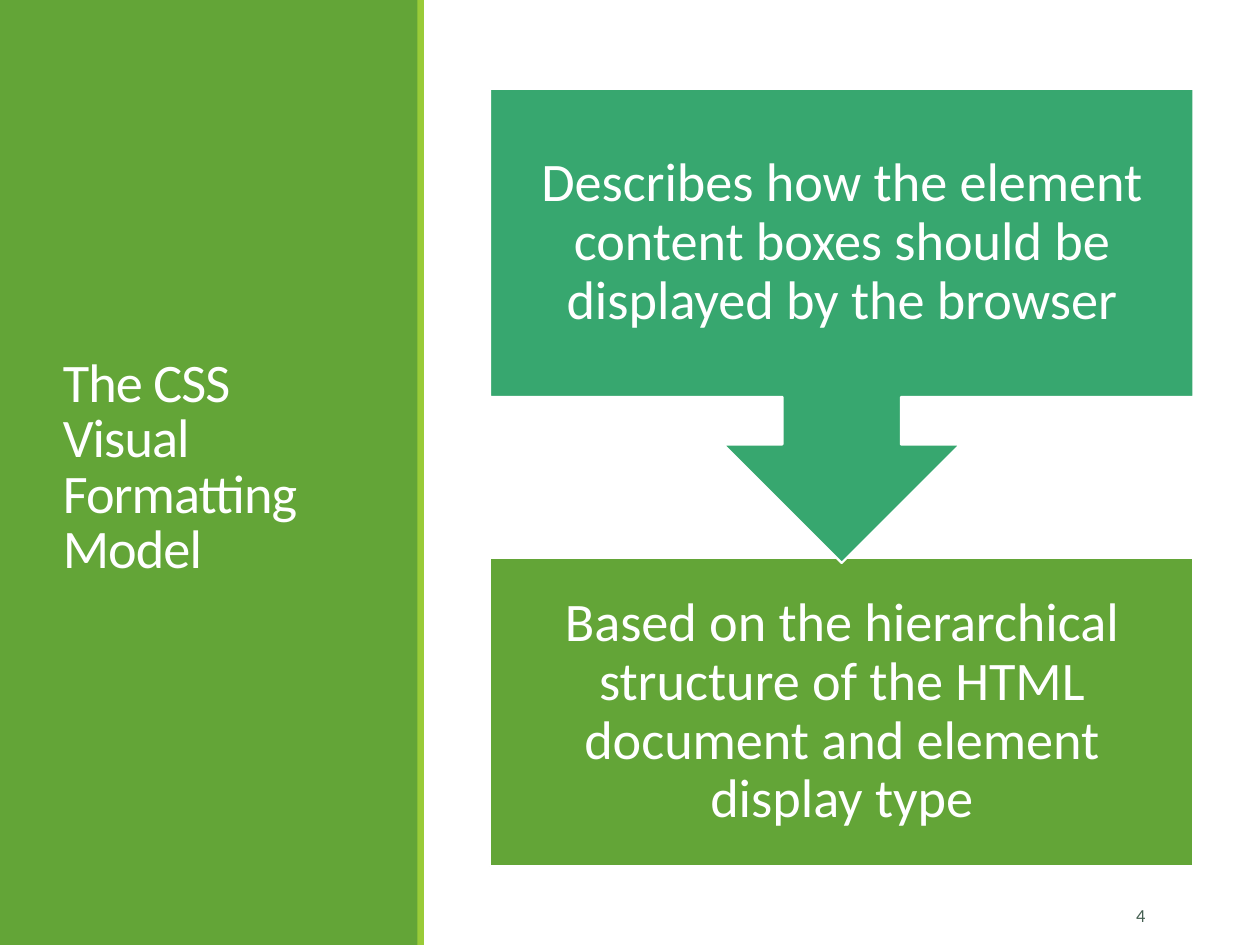
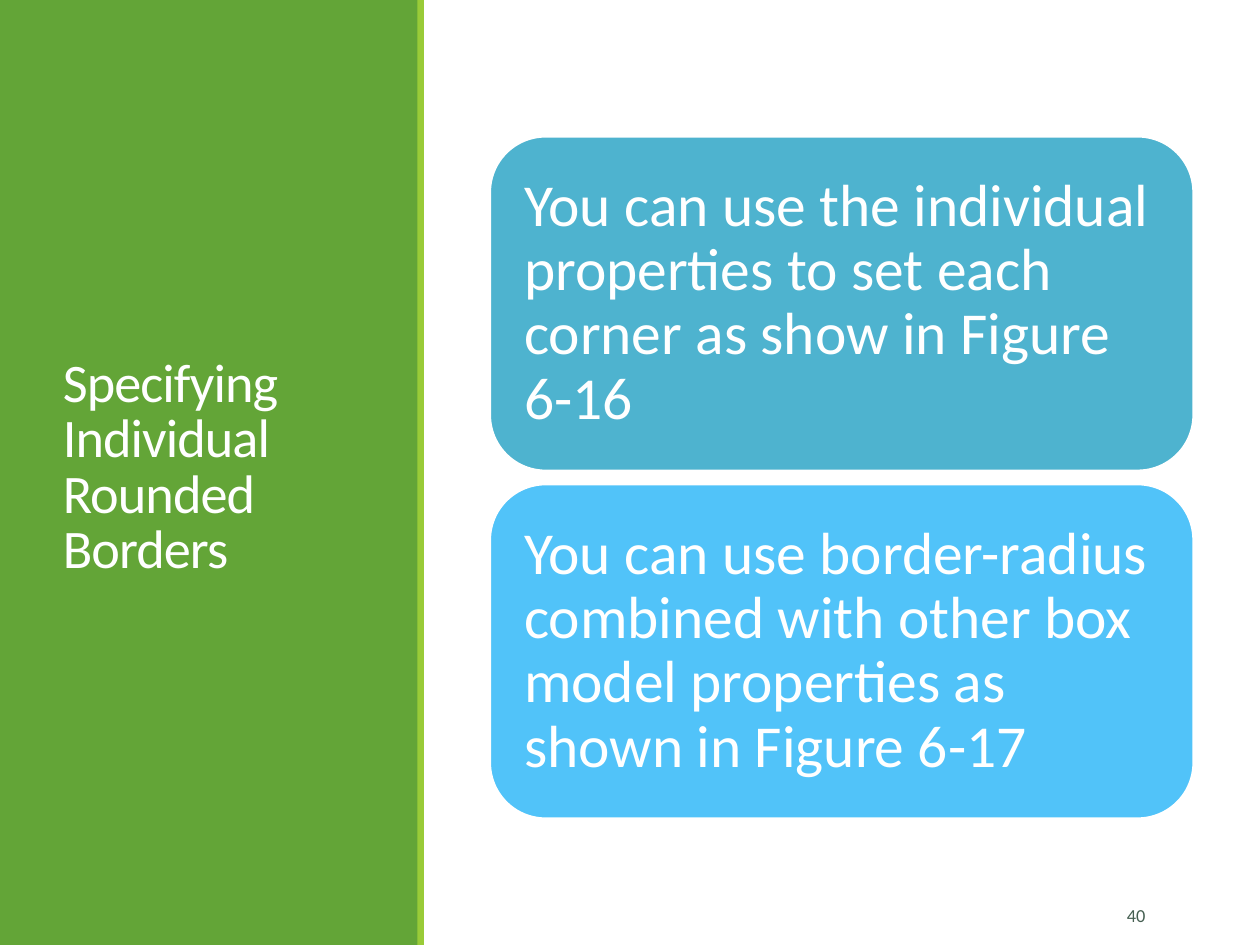
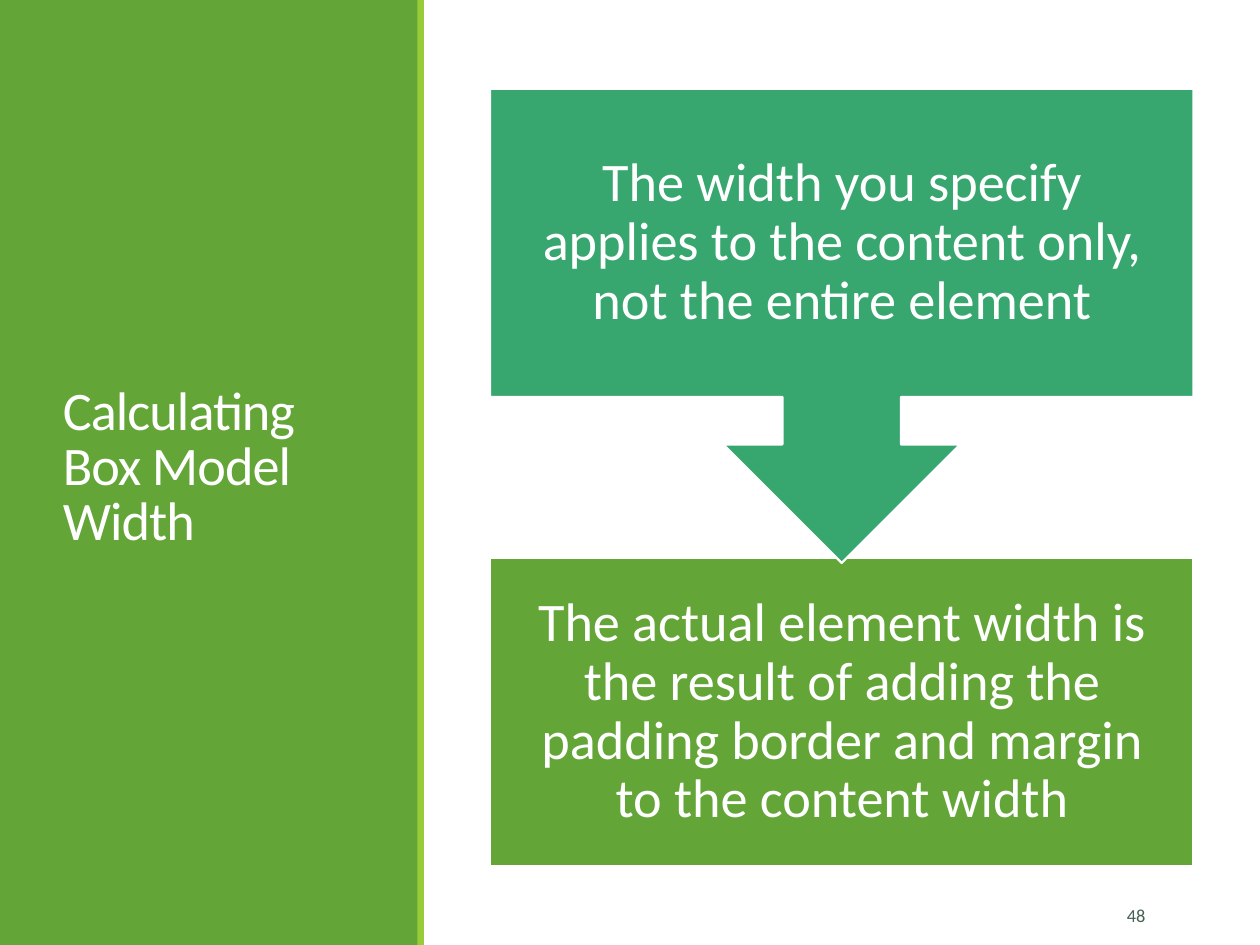
from pptx import Presentation
from pptx.dml.color import RGBColor
from pptx.enum import shapes, text
from pptx.util import Pt

HUES = {
    "white": "FFFFFF",
    "green": "63A537",
    "lime": "99CB38",
    "teal": "37A76F",
    "sea": "4EB3CF",
    "sky": "51C3F9",
    "slate": "455F51",
}
FONT = "Calibri"
KIND = shapes.MSO_SHAPE
ALIGN = text.PP_ALIGN
LEFT, WIDE = 280, 402


def hue(name):
    return RGBColor.from_string(HUES[name])


def write(shape, words, size, color="white", align=ALIGN.LEFT, lead=1.0, pad=None, track=None):
    frame = shape.text_frame
    frame.word_wrap = True
    frame.vertical_anchor = text.MSO_ANCHOR.MIDDLE
    if pad is not None:
        frame.margin_left = frame.margin_right = Pt(pad)
        frame.margin_top = frame.margin_bottom = Pt(pad)
    para = frame.paragraphs[0]
    para.alignment = align
    para.line_spacing = lead
    run = para.add_run()
    run.text = words
    run.font.name = FONT
    run.font.size = Pt(size)
    run.font.color.rgb = hue(color)
    if track is not None:
        run.font._element.set("spc", str(round(track * 100)))


def block(slide, kind, box, fill, edge=None):
    shape = slide.shapes.add_shape(kind, *map(Pt, box))
    shape.shadow.inherit = False
    shape.fill.solid()
    shape.fill.fore_color.rgb = hue(fill)
    if edge:
        shape.line.color.rgb = hue(edge)
        shape.line.width = Pt(1.25)
    else:
        shape.line.fill.background()
    return shape


def label(slide, box, words, size, **style):
    write(slide.shapes.add_textbox(*map(Pt, box)), words, size, **style)


def frame(deck, title, page):
    slide = deck.slides.add_slide(deck.slide_layouts[6])
    block(slide, KIND.RECTANGLE, (0, 0, 239, 540), "green")
    label(slide, (28.8, 41, 182, 454), title, 31, lead=0.85, track=-0.5)
    block(slide, KIND.RECTANGLE, (238.5, 0, 3.75, 540), "lime")
    label(slide, (597.6, 508.5, 64, 28.8), str(page), 10.5, color="slate", align=ALIGN.RIGHT)
    return slide


def flow(slide, first, then):
    steps = (
        (KIND.RECTANGLE, 319, 176, "green", then),
        (KIND.DOWN_ARROW_CALLOUT, 50.75, 271, "teal", first),
    )
    for kind, top, high, fill, words in steps:
        shape = block(slide, kind, (LEFT, top, WIDE, high), fill, "white")
        write(shape, words, 31, align=ALIGN.CENTER, lead=0.9, pad=17.3)


def stack(slide, notes):
    top, high, gap = 78, 191, 7.75
    for row, (fill, words) in enumerate(notes):
        box = (LEFT, top + row * (high + gap), WIDE, high)
        shape = block(slide, KIND.ROUNDED_RECTANGLE, box, fill, "white")
        write(shape, words, 34, lead=0.9, pad=10.2)


def main():
    deck = Presentation()
    deck.slide_width, deck.slide_height = Pt(720), Pt(540)
    flow(
        frame(deck, "The CSS Visual Formatting Model", 4),
        "Describes how the element content boxes should be displayed by the browser",
        "Based on the hierarchical structure of the HTML document and element display type",
    )
    stack(
        frame(deck, "Specifying Individual Rounded Borders", 40),
        (
            ("sea", "You can use the individual properties to set each corner as show in Figure 6-16"),
            ("sky", "You can use border-radius combined with other box model properties as shown in Figure 6-17"),
        ),
    )
    flow(
        frame(deck, "Calculating Box Model Width", 48),
        "The width you specify applies to the content only, not the entire element",
        "The actual element width is the result of adding the padding border and margin to the content width",
    )
    deck.save("out.pptx")


if __name__ == "__main__":
    main()
